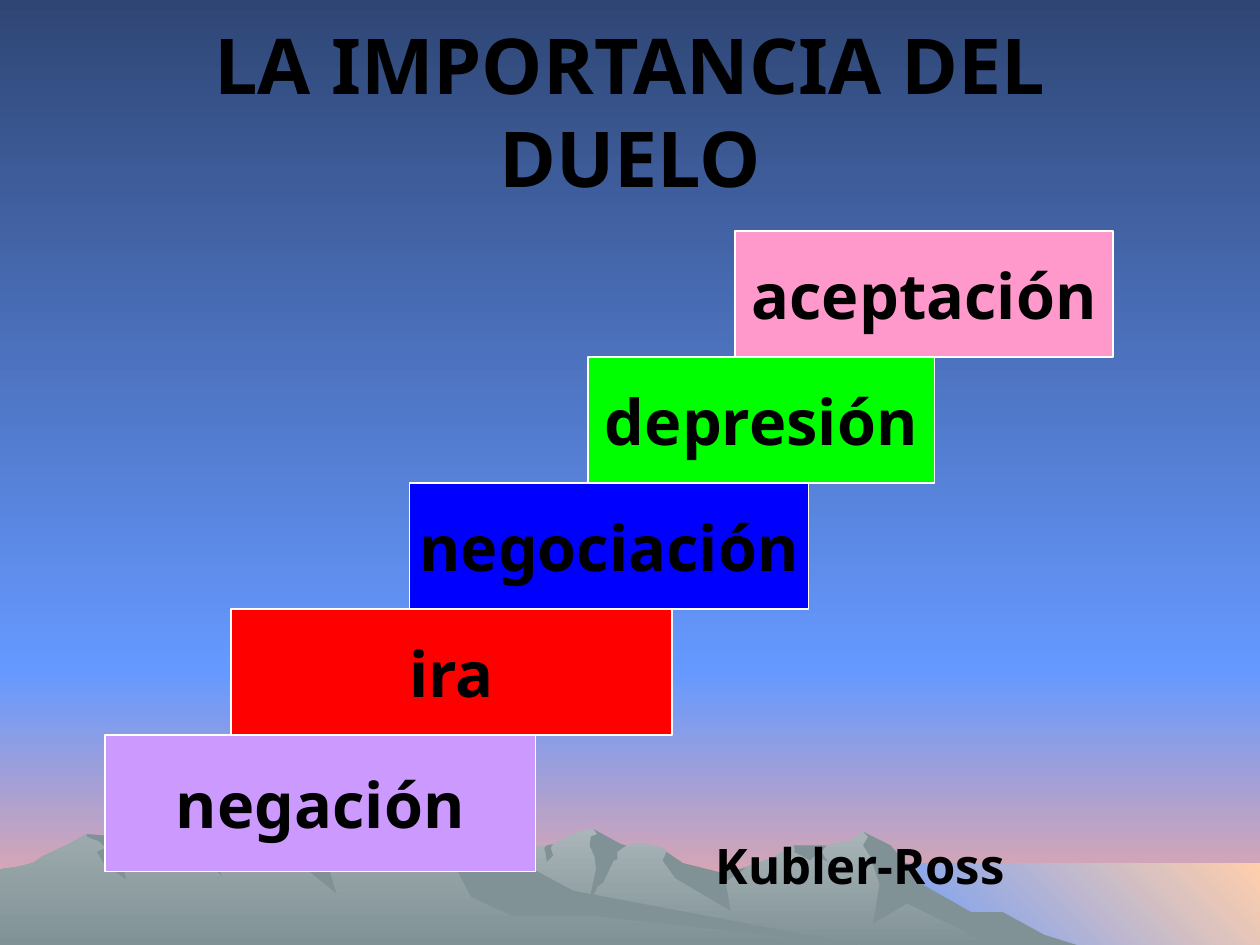
from pptx import Presentation
from pptx.dml.color import RGBColor
from pptx.enum.shapes import MSO_SHAPE
from pptx.enum.text import MSO_ANCHOR, MSO_AUTO_SIZE, PP_ALIGN
from pptx.util import Pt

RECTANGLE = MSO_SHAPE.RECTANGLE
MIDDLE, CENTER = MSO_ANCHOR.MIDDLE, PP_ALIGN.CENTER
NO_FIT, GROW = MSO_AUTO_SIZE.NONE, MSO_AUTO_SIZE.SHAPE_TO_FIT_TEXT
FONT = "Noto Sans"
UNIT = 0.72  # landscape grid: 1000 by 750 units on the page
TITLE_ONLY = 5

BLACK = RGBColor(0x00, 0x00, 0x00)
WHITE = RGBColor(0xFF, 0xFF, 0xFF)
NIGHT = RGBColor(0x2F, 0x46, 0x75)
SKY = RGBColor(0x66, 0x99, 0xFF)
DUSK = RGBColor(0xFF, 0xAA, 0x99)
SAND = RGBColor(0xFF, 0xCF, 0xAB)
MIST = RGBColor(0xA9, 0xB5, 0xB8)
STONE = RGBColor(0x9E, 0xAB, 0xAE)
SLATE = RGBColor(0x80, 0x92, 0x96)
LILAC = RGBColor(0xCC, 0x99, 0xFF)
RED = RGBColor(0xFF, 0x00, 0x00)
BLUE = RGBColor(0x00, 0x00, 0xFF)
GREEN = RGBColor(0x00, 0xFF, 0x00)
PINK = RGBColor(0xFF, 0x99, 0xCC)

DOWN, DOWN_LEFT = 270, 225  # gradient angles, counter-clockwise

# Ridges and their shaded faces, in landscape units
RIGHT_RIDGE = [
    (802, 740), (778, 727), (764, 723), (723, 698), (702, 671), (685, 660), (676, 667),
    (656, 671), (629, 671), (613, 681), (566, 697), (536, 690), (529, 676), (526, 673),
    (509, 669), (497, 671), (486, 673), (474, 661), (471, 658), (465, 658), (450, 664),
    (438, 671), (430, 671), (418, 675), (405, 681), (394, 685), (355, 698), (327, 709),
    (277, 739), (258, 751), (821, 751)]
LEFT_RIDGE = [
    (690, 751), (667, 748), (432, 712), (354, 665), (331, 663), (327, 668), (323, 668),
    (318, 664), (296, 676), (279, 681), (271, 682), (260, 676), (236, 681), (223, 663),
    (219, 660), (212, 658), (196, 658), (191, 662), (180, 665), (160, 671), (148, 667),
    (143, 667), (132, 671), (128, 671), (123, 669), (111, 669), (94, 671), (68, 662),
    (56, 669), (46, 674), (35, 679), (26, 685), (14, 688), (0, 690), (0, 751)]
RIGHT_FACES = [
    [(796, 724), (771, 724), (734, 703), (707, 671), (685, 660), (689, 664), (685, 671),
     (691, 680), (698, 702), (693, 733), (720, 717), (792, 752), (858, 751), (829, 742)],
    [(471, 658), (474, 662), (469, 664), (468, 671), (472, 680), (473, 690), (465, 727),
     (474, 704), (479, 700), (487, 683), (490, 682), (490, 676), (497, 671), (493, 670)],
    [(529, 676), (526, 683), (536, 697), (580, 723), (576, 700), (592, 689), (570, 692),
     (542, 685)],
    [(650, 671), (630, 671), (631, 675), (630, 676), (643, 683), (647, 679), (657, 684),
     (652, 676), (656, 671)],
    [(433, 677), (432, 673), (434, 671), (439, 670), (437, 673), (439, 679), (434, 684)]]
LEFT_FACES = [
    [(212, 663), (208, 669), (219, 678), (232, 690), (241, 688), (267, 709), (261, 689),
     (271, 682), (266, 679), (260, 674), (252, 671), (232, 663), (220, 661), (213, 659)],
    [(370, 668), (354, 665), (344, 665), (339, 669), (337, 687), (348, 683), (353, 688),
     (363, 691), (374, 712), (407, 727), (472, 727), (690, 751), (683, 750), (455, 707),
     (427, 692), (411, 684), (401, 681), (386, 675)],
    [(154, 667), (168, 669), (165, 676), (166, 680), (169, 684), (173, 687), (176, 695),
     (165, 685), (154, 676), (148, 667)],
    [(109, 668), (111, 669), (105, 676), (93, 685), (98, 689), (100, 698), (82, 685),
     (77, 676), (84, 673), (79, 668), (69, 664), (69, 662), (82, 663), (94, 665)]]


def paint(fill, colors, angle=DOWN):
    """Fill with one colour, or with a gradient between two."""
    if len(colors) == 1:
        fill.solid()
        fill.fore_color.rgb = colors[0]
        return
    fill.gradient()
    fill.gradient_angle = angle
    for stop, color in zip(fill.gradient_stops, colors):
        stop.color.rgb = color


def add_outline(page, box, points, colors, angle=DOWN):
    left, top = box[:2]
    builder = page.shapes.build_freeform(*points[0], scale=Pt(UNIT))
    builder.add_line_segments(points[1:], close=True)
    shape = builder.convert_to_shape(Pt(left), Pt(top))
    shape.shadow.inherit = False
    shape.line.fill.background()
    paint(shape.fill, colors, angle)


def band(left, top, right, bottom):
    return [(left, top), (right, top), (right, bottom), (left, bottom)]


def add_landscape(page, box):
    # Sky and sunlit plain
    add_outline(page, box, band(0, 533, 1000, 750), [SKY, DUSK])
    add_outline(page, box, band(0, 0, 1000, 533), [NIGHT, SKY])
    add_outline(page, box, band(683, 685, 1000, 752), [SAND, SKY], DOWN_LEFT)
    # Mountains, far ridge first
    for ridge, light, faces in [(RIGHT_RIDGE, MIST, RIGHT_FACES),
                                (LEFT_RIDGE, STONE, LEFT_FACES)]:
        add_outline(page, box, ridge, [light, SLATE])
        for face in faces:
            add_outline(page, box, face, [SLATE])


def write(frame, text, size, align=None):
    frame.text = text
    para = frame.paragraphs[0]
    para.alignment = align
    para.font.name, para.font.size = FONT, Pt(size)
    para.font.bold, para.font.color.rgb = True, BLACK
    return para


def add_title(page, box, text):
    title = page.shapes.title
    title.element.getparent().append(title.element)  # in front of the landscape
    title.left, title.top, title.width, title.height = map(Pt, box)
    frame = title.text_frame
    frame.auto_size, frame.vertical_anchor = NO_FIT, MIDDLE
    write(frame, text, 44, CENTER)


def add_staircase(page, box):
    left, top, _, height = box
    rise, bottom_rise = 72, 78
    steps = [("negación", LILAC, 0, 246), ("ira", RED, 72, 252),
             ("negociación", BLUE, 174, 228), ("depresión", GREEN, 276, 198),
             ("aceptación", PINK, 360, 216)]
    for level, (text, color, offset, width) in enumerate(steps):
        step_top = top + height - bottom_rise - level * rise
        step_height = rise if level else bottom_rise
        step = page.shapes.add_shape(RECTANGLE, Pt(left + offset), Pt(step_top),
                                     Pt(width), Pt(step_height))
        step.shadow.inherit = False
        paint(step.fill, [color])
        step.line.color.rgb, step.line.width = WHITE, Pt(0.75)
        frame = step.text_frame
        frame.word_wrap, frame.vertical_anchor = False, MIDDLE
        write(frame, text, 36, CENTER)


def add_author(page, box, text):
    frame = page.shapes.add_textbox(*map(Pt, box)).text_frame
    frame.word_wrap, frame.auto_size = True, GROW
    write(frame, text, 28).space_before = Pt(17.5)


def main():
    deck = Presentation()
    deck.slide_width, deck.slide_height = Pt(720), Pt(540)
    page = deck.slides.add_slide(deck.slide_layouts[TITLE_ONLY])
    paint(page.background.fill, [NIGHT, SKY])
    add_landscape(page, (0, 0, 720, 540))
    add_title(page, (36, 18, 648, 90), "LA IMPORTANCIA DEL DUELO")
    add_staircase(page, (60, 132, 576, 366))
    add_author(page, (402, 474, 294, 41), "Kubler-Ross")
    deck.save("out.pptx")


if __name__ == "__main__":
    main()
